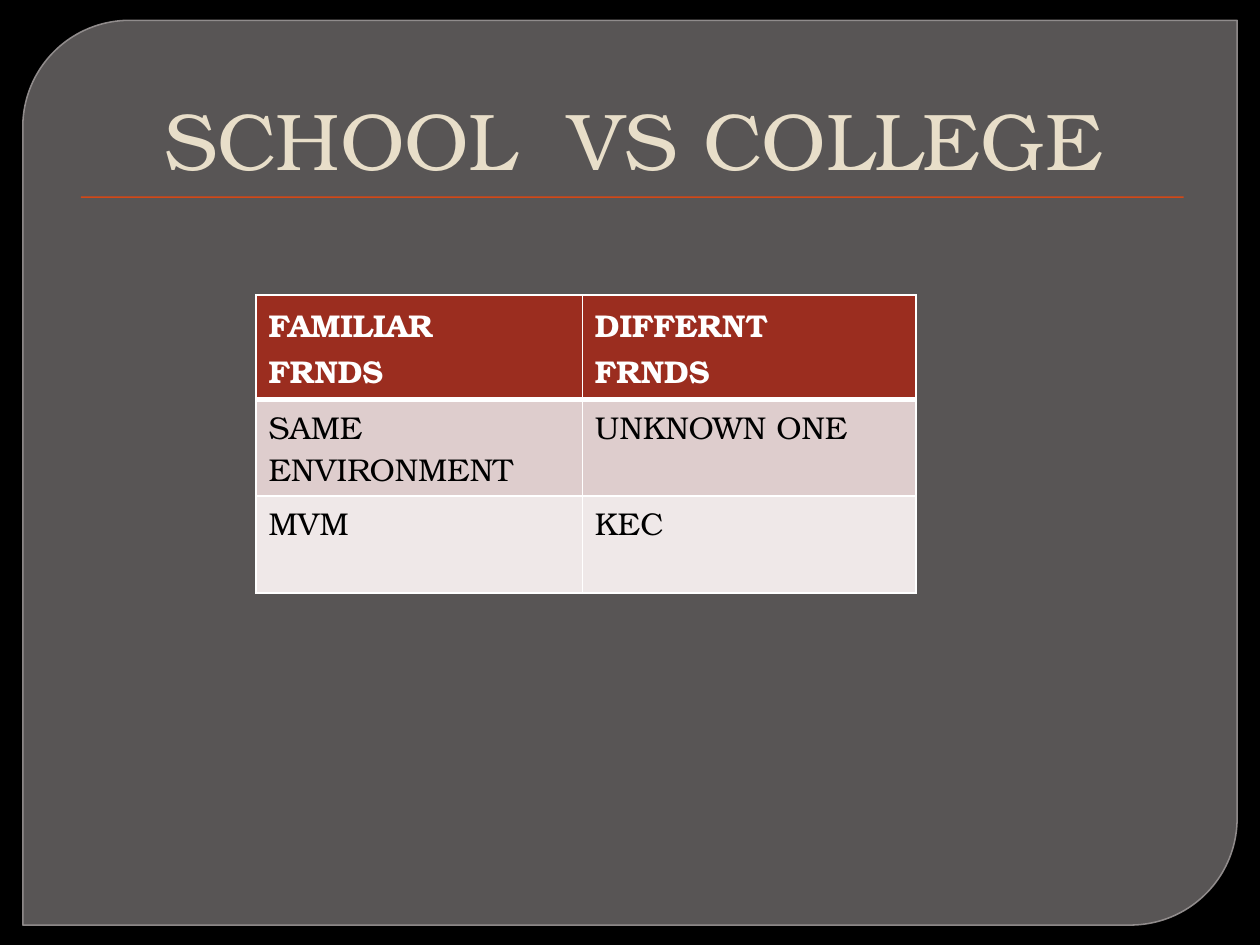
from lxml import etree
from pptx import Presentation
from pptx.dml.color import RGBColor
from pptx.enum.shapes import MSO_SHAPE
from pptx.enum.text import MSO_ANCHOR, PP_ALIGN
from pptx.oxml.ns import qn
from pptx.util import Cm, Pt

BLACK = RGBColor(0x00, 0x00, 0x00)
WHITE = RGBColor(0xFF, 0xFF, 0xFF)
PANEL = RGBColor(0x88, 0x84, 0x84)
PANEL_EDGE = RGBColor(0x9D, 0x98, 0x98)
RULE = RGBColor(0xD3, 0x48, 0x17)
CREAM = RGBColor(0xE8, 0xDE, 0xC9)
HEADER = RGBColor(0x9B, 0x2D, 0x1F)
ROSE = RGBColor(0xDE, 0xCD, 0xCD)
PALE_ROSE = RGBColor(0xEF, 0xE8, 0xE8)
FONT = "TeX Gyre Bonum"

COMPARISON = [
    ("FAMILIAR\vFRNDS", "DIFFERNT\vFRNDS"),
    ("SAME ENVIRONMENT", "UNKNOWN ONE"),
    ("MVM", "KEC"),
]
ROW_FILLS = [HEADER, ROSE, PALE_ROSE]
ROW_HEIGHTS = [2.1, 1.95, 1.95]
COLUMN_WIDTHS = [6.58, 6.73]


def format_text(paragraph, size, color, bold=False):
    for run in paragraph.runs:
        run.font.name = FONT
        run.font.size = Pt(size)
        run.font.color.rgb = color
        run.font.bold = bold


def set_opacity(fill_parent, percent):
    color = fill_parent.find(qn("a:solidFill"))[0]
    etree.SubElement(color, qn("a:alpha"), val=str(percent * 1000))


def set_border(cell, side, width):
    properties = cell._tc.get_or_add_tcPr()
    line = etree.Element(qn(f"a:ln{side}"), w=str(Pt(width)))
    fill = etree.SubElement(line, qn("a:solidFill"))
    etree.SubElement(fill, qn("a:srgbClr"), val=str(WHITE))
    properties.insert(len(properties) - 1, line)


def add_panel(slide, left, top, width, height):
    panel = slide.shapes.add_shape(
        MSO_SHAPE.ROUND_2_DIAG_RECTANGLE, Cm(left), Cm(top), Cm(width), Cm(height))
    panel.adjustments[0] = 0.118
    panel.adjustments[1] = 0
    panel.shadow.inherit = False
    panel.fill.solid()
    panel.fill.fore_color.rgb = PANEL
    panel.line.color.rgb = PANEL_EDGE
    panel.line.width = Pt(0.87)
    set_opacity(panel._element.spPr, 65)
    set_opacity(panel._element.spPr.find(qn("a:ln")), 88)


def add_title(slide, left, top, width, height):
    rule = slide.shapes.add_shape(
        MSO_SHAPE.RECTANGLE, Cm(left + 0.36), Cm(top + height + 0.08),
        Cm(width - 0.63), Cm(0.03))
    rule.shadow.inherit = False
    rule.fill.solid()
    rule.fill.fore_color.rgb = RULE
    rule.line.fill.background()

    title = slide.shapes.add_textbox(Cm(left), Cm(top), Cm(width), Cm(height))
    frame = title.text_frame
    frame.word_wrap = True
    frame.vertical_anchor = MSO_ANCHOR.BOTTOM
    frame.text = "SCHOOL  VS COLLEGE"
    paragraph = frame.paragraphs[0]
    paragraph.alignment = PP_ALIGN.CENTER
    paragraph._p.get_or_add_pPr().set("marL", str(Cm(0.15)))
    format_text(paragraph, 46, CREAM)


def add_comparison(slide, left, top):
    table = slide.shapes.add_table(
        len(COMPARISON), len(COLUMN_WIDTHS), Cm(left), Cm(top),
        Cm(sum(COLUMN_WIDTHS)), Cm(sum(ROW_HEIGHTS))).table
    for column, width in zip(table.columns, COLUMN_WIDTHS):
        column.width = Cm(width)
    for row_index, texts in enumerate(COMPARISON):
        is_header = row_index == 0
        table.rows[row_index].height = Cm(ROW_HEIGHTS[row_index])
        for column_index, text in enumerate(texts):
            cell = table.cell(row_index, column_index)
            cell.text_frame.text = text
            format_text(cell.text_frame.paragraphs[0], 18,
                        WHITE if is_header else BLACK, is_header)
            cell.fill.solid()
            cell.fill.fore_color.rgb = ROW_FILLS[row_index]
            for side in "LRTB":
                header_edge = (row_index, side) in [(0, "B"), (1, "T")]
                set_border(cell, side, 3 if header_edge else 1)


def main():
    presentation = Presentation()
    presentation.slide_width = Cm(25.4)
    presentation.slide_height = Cm(19.05)
    slide = presentation.slides.add_slide(presentation.slide_layouts[6])
    slide.background.fill.solid()
    slide.background.fill.fore_color.rgb = BLACK
    add_panel(slide, 0.46, 0.41, 24.48, 18.24)
    add_title(slide, 1.27, 0.71, 22.86, 3.17)
    add_comparison(slide, 5.16, 5.95)
    presentation.save("out.pptx")


if __name__ == "__main__":
    main()
